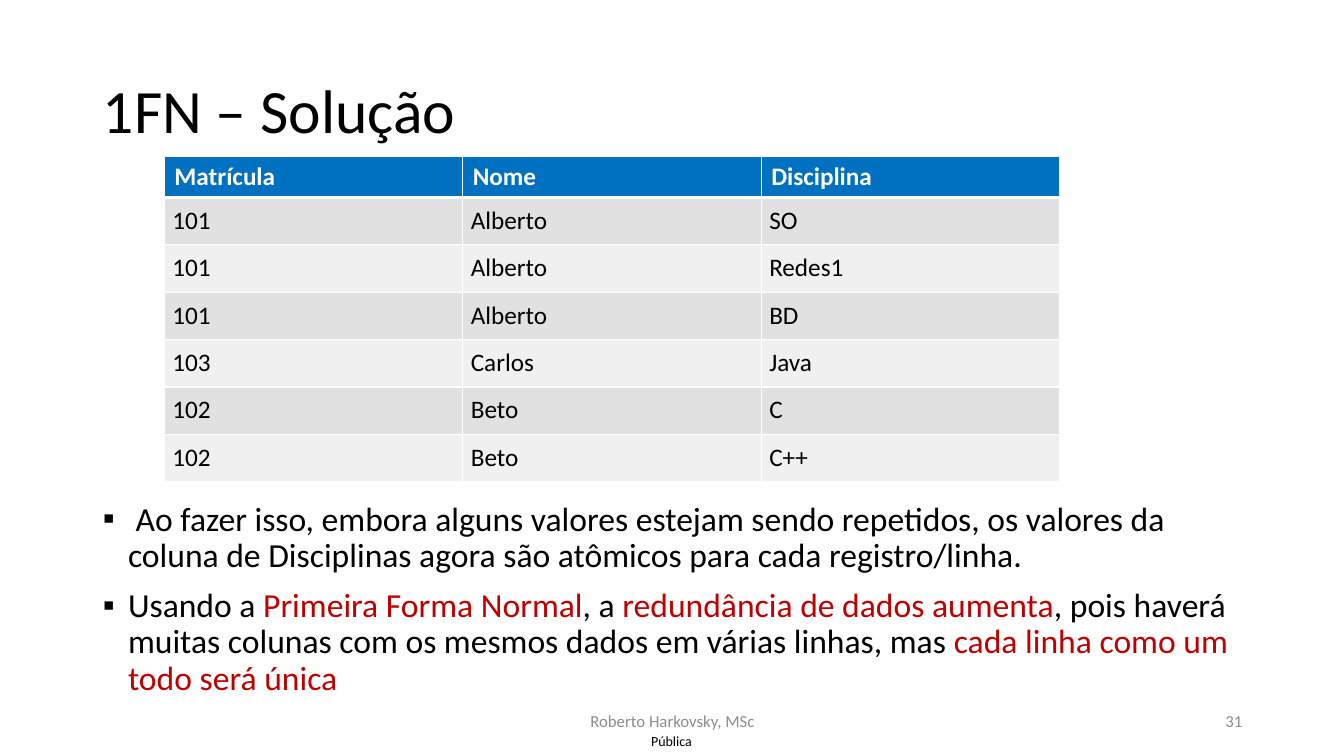
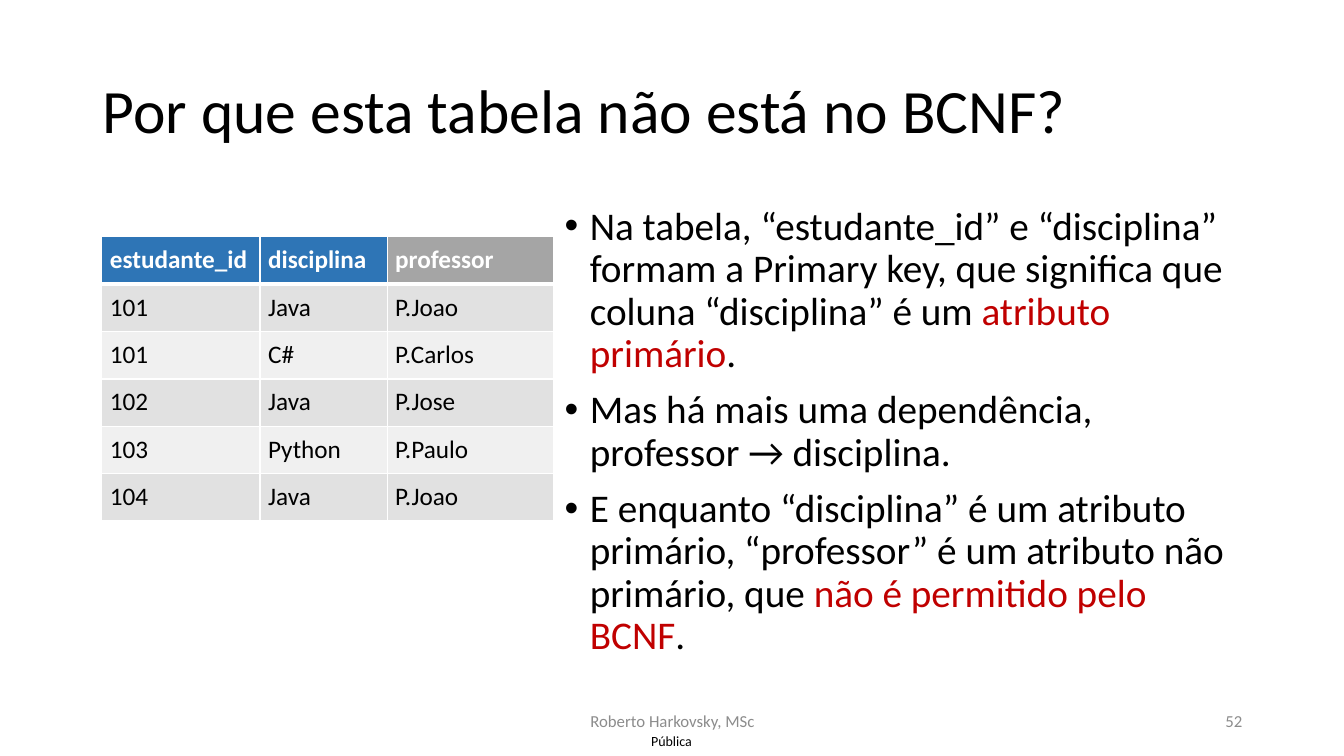
from lxml.etree import SubElement
from pptx import Presentation
from pptx.dml.color import RGBColor
from pptx.enum.text import MSO_ANCHOR, MSO_AUTO_SIZE, PP_ALIGN
from pptx.oxml.ns import qn
from pptx.util import Inches, Pt

FONT = "Calibri"
BLACK, WHITE, RED, GRAY = "000000", "FFFFFF", "C00000", "8C8C8C"
BANDS = ("E1E1E1", "F0F0F0")
BLUE, STEEL, SILVER = "0070C0", "2E75B6", "A5A5A5"
AUTHOR, LABEL = "Roberto Harkovsky, MSc", "Pública"
MARGINS = ("margin_left", "margin_top", "margin_right", "margin_bottom")
PADDING = 0.08

SOLUTION_ROWS = [
    ("Matrícula", "Nome", "Disciplina"),
    ("101", "Alberto", "SO"),
    ("101", "Alberto", "Redes1"),
    ("101", "Alberto", "BD"),
    ("103", "Carlos", "Java"),
    ("102", "Beto", "C"),
    ("102", "Beto", "C++"),
]
SOLUTION_POINTS = [
    " Ao fazer isso, embora alguns valores estejam sendo repetidos, os valores da "
    "coluna de Disciplinas agora são atômicos para cada registro/linha.",
    "Usando a *Primeira Forma Normal*, a *redundância de dados aumenta*, pois haverá "
    "muitas colunas com os mesmos dados em várias linhas, mas "
    "*cada linha como um todo será única*",
]
BCNF_ROWS = [
    ("estudante_id", "disciplina", "professor"),
    ("101", "Java", "P.Joao"),
    ("101", "C#", "P.Carlos"),
    ("102", "Java", "P.Jose"),
    ("103", "Python", "P.Paulo"),
    ("104", "Java", "P.Joao"),
]
BCNF_POINTS = [
    "Na tabela, “estudante_id” e “disciplina” formam a Primary key, que significa que "
    "coluna “disciplina” é um *atributo primário*.",
    "Mas há mais uma dependência, professor → disciplina.",
    "E enquanto “disciplina” é um atributo primário, “professor” é um atributo não "
    "primário, que *não é permitido pelo BCNF*.",
]


def set_values(target, values):
    """Set each named attribute of the target."""
    for name, value in values.items():
        setattr(target, name, value)


def set_color(color_format, color):
    """Give a colour format its hex colour."""
    color_format.rgb = RGBColor.from_string(color)


def style_font(font, size, color=BLACK, bold=False):
    """Apply the shared typeface with a size, colour and weight."""
    set_values(font, {"name": FONT, "size": Pt(size), "bold": bold})
    set_color(font.color, color)


def place(shape, box):
    """Move and size a shape to a box given in inches."""
    set_values(shape, dict(zip(("left", "top", "width", "height"), map(Inches, box))))


def add_title(slide, text):
    """Fill the title placeholder."""
    title = slide.shapes.title
    place(title, (0.92, 0.4, 11.5, 1.45))
    frame = title.text_frame
    set_values(frame, {"text": text, "vertical_anchor": MSO_ANCHOR.MIDDLE,
                       "auto_size": MSO_AUTO_SIZE.NONE})
    paragraph = frame.paragraphs[0]
    set_values(paragraph, {"alignment": PP_ALIGN.LEFT, "line_spacing": 0.9})
    style_font(paragraph.runs[0].font, 44)


def add_bullet(paragraph, bullet):
    """Give a paragraph a bullet and a hanging indent."""
    properties = paragraph._p.get_or_add_pPr()
    properties.set("marL", str(Inches(0.25)))
    properties.set("indent", str(-Inches(0.25)))
    SubElement(properties, qn("a:buFont")).set("typeface", "Arial")
    SubElement(properties, qn("a:buChar")).set("char", bullet)


def add_points(slide, box, points, size, bullet):
    """Fill the body placeholder, with text between asterisks in red."""
    body = slide.placeholders[1]
    place(body, box)
    frame = body.text_frame
    frame.auto_size = MSO_AUTO_SIZE.NONE
    for index, point in enumerate(points):
        paragraph = frame.add_paragraph() if index else frame.paragraphs[0]
        add_bullet(paragraph, bullet)
        set_values(paragraph, {"line_spacing": 0.9, "space_before": Pt(10 if index else 0)})
        for part, text in enumerate(point.split("*")):
            if text:
                run = paragraph.add_run()
                run.text = text
                style_font(run.font, size, RED if part % 2 else BLACK)


def add_label(slide, box, text, size, color, alignment, margins=(0.1, 0.05, 0.1, 0.05)):
    """Add one line of text, centred vertically in its box."""
    frame = slide.shapes.add_textbox(*map(Inches, box)).text_frame
    set_values(frame, {"text": text, "word_wrap": True, "vertical_anchor": MSO_ANCHOR.MIDDLE})
    set_values(frame, dict(zip(MARGINS, map(Inches, margins))))
    paragraph = frame.paragraphs[0]
    paragraph.alignment = alignment
    style_font(paragraph.runs[0].font, size, color)


def add_footer(slide, number):
    """Add the classification label, author and page number."""
    add_label(slide, (6.31, 7.21, 0.7, 0.29), LABEL, 10, BLACK, PP_ALIGN.CENTER, (0, 0, 0, 0))
    add_label(slide, (4.42, 6.95, 4.5, 0.4), AUTHOR, 12, GRAY, PP_ALIGN.CENTER)
    add_label(slide, (9.42, 6.95, 3, 0.4), str(number), 12, GRAY, PP_ALIGN.RIGHT)


def add_borders(cell, widths):
    """Draw white cell borders with widths in points by side."""
    properties = cell._tc.get_or_add_tcPr()
    for side, width in widths.items():
        line = SubElement(properties, qn(f"a:ln{side}"), w=str(Pt(width)))
        fill = SubElement(line, qn("a:solidFill"))
        SubElement(fill, qn("a:srgbClr")).set("val", WHITE)


def format_cell(cell, text, fill, color, bold, margins, borders):
    """Write and format one table cell."""
    cell.text = text
    set_values(cell, dict(zip(MARGINS, map(Inches, margins))))
    add_borders(cell, borders)
    cell.fill.solid()
    set_color(cell.fill.fore_color, fill)
    style_font(cell.text_frame.paragraphs[0].runs[0].font, 18, color, bold)


def add_data_table(slide, position, rows, widths, header_fills, header_height, header_margins):
    """Add a table with a coloured header and banded rows."""
    heights = [header_height] + [0.47] * (len(rows) - 1)
    frame = slide.shapes.add_table(len(rows), len(widths), *map(Inches, position),
                                   Inches(sum(widths)), Inches(sum(heights)))
    table = frame.table
    for column, width in zip(table.columns, widths):
        column.width = Inches(width)
    for row_index, (values, height) in enumerate(zip(rows, heights)):
        table.rows[row_index].height = Inches(height)
        header = row_index == 0
        fills = header_fills if header else [BANDS[(row_index - 1) % 2]] * len(widths)
        borders = {"L": 1, "R": 1, "T": 3 if row_index == 1 else 1, "B": 3 if header else 1}
        margins = header_margins if header else [PADDING] * 4
        for column_index, (text, fill) in enumerate(zip(values, fills)):
            format_cell(table.cell(row_index, column_index), text, fill,
                        WHITE if header else BLACK, header, margins, borders)


def add_content_slide(presentation, title, number):
    """Add a slide with its title and footer."""
    slide = presentation.slides.add_slide(presentation.slide_layouts[1])
    add_title(slide, title)
    add_footer(slide, number)
    return slide


def main():
    """Build and save the presentation."""
    presentation = Presentation()
    set_values(presentation, {"slide_width": Inches(13.33), "slide_height": Inches(7.5)})

    solution = add_content_slide(presentation, "1FN – Solução", 31)
    add_points(solution, (0.92, 4.93, 11.58, 2.02), SOLUTION_POINTS, 24, "▪")
    add_data_table(solution, (1.63, 1.55), SOLUTION_ROWS, [2.96] * 3, [BLUE] * 3,
                   0.41, (0.1, 0.05, 0.1, 0.05))

    bcnf = add_content_slide(presentation, "Por que esta tabela não está no BCNF?", 52)
    add_points(bcnf, (5.5, 2, 6.91, 5.1), BCNF_POINTS, 28, "•")
    add_data_table(bcnf, (1.01, 2.35), BCNF_ROWS, [1.57, 1.26, 1.65],
                   [STEEL, STEEL, SILVER], 0.47, [PADDING] * 4)

    presentation.save("out.pptx")


if __name__ == "__main__":
    main()
